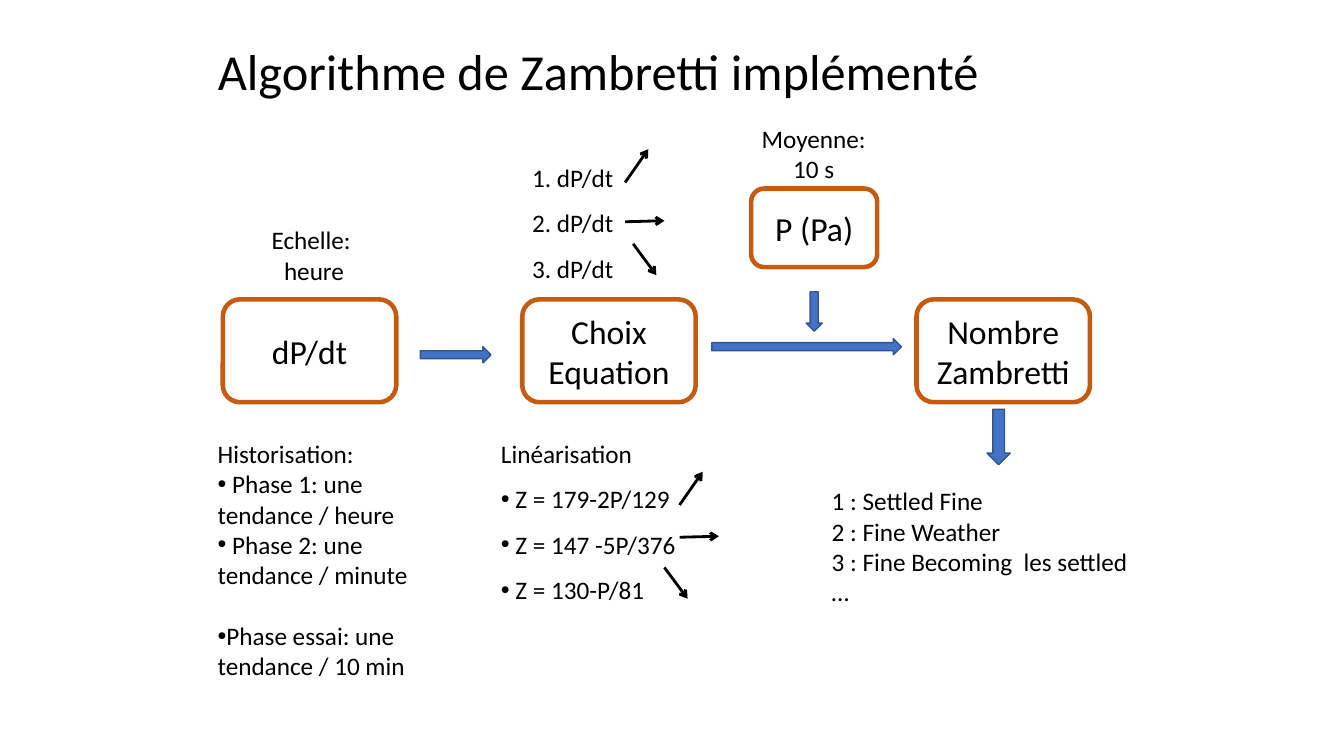
from lxml.etree import SubElement
from pptx import Presentation
from pptx.dml.color import RGBColor
from pptx.enum.shapes import MSO_CONNECTOR as CONN, MSO_SHAPE as SHAPE
from pptx.enum.text import MSO_ANCHOR as ANCHOR, MSO_AUTO_SIZE as FIT, PP_ALIGN as ALIGN
from pptx.oxml.ns import qn
from pptx.util import Emu, Pt

PX = 9144  # 100 px to the inch
FONT = "Calibri"
BLACK, ORANGE, BLUE, NAVY = "000000", "C55A11", "4472C4", "325491"
TREND_VECTORS = [(23, -33), (39, -1), (23, 31)]  # rising, steady, falling


def px(*lengths):
    return [Emu(n * PX) for n in lengths]


def rgb(color):
    return RGBColor.from_string(color)


def write(tf, lines, size, align=ALIGN.LEFT):
    tf.word_wrap = True
    tf.text = "\n".join(lines)
    for p in tf.paragraphs:
        p.alignment = align
        for r in p.runs:
            r.font.name, r.font.size = FONT, Pt(size)
            r.font.color.rgb = rgb(BLACK)


def add_bullet(p):
    pPr = p._p.get_or_add_pPr()
    pPr.set("marL", "0")
    pPr.set("indent", "0")
    SubElement(pPr, qn("a:buFont"), typeface="Arial")
    SubElement(pPr, qn("a:buChar"), char="•")


def title(s, text, box):
    sp = s.shapes.title
    sp.left, sp.top, sp.width, sp.height = px(*box)
    tf = sp.text_frame
    write(tf, [text], 36)
    tf.auto_size = FIT.NONE
    tf.vertical_anchor = ANCHOR.MIDDLE
    tf.paragraphs[0].line_spacing = 0.9


def step(s, lines, box):
    sp = s.shapes.add_shape(SHAPE.ROUNDED_RECTANGLE, *px(*box))
    sp.shadow.inherit = False
    sp.fill.background()
    sp.line.color.rgb, sp.line.width = rgb(ORANGE), Pt(3.25)
    sp.text_frame.vertical_anchor = ANCHOR.MIDDLE
    write(sp.text_frame, lines, 24, ALIGN.CENTER)


def block_arrow(s, kind, box, rotation=0):
    sp = s.shapes.add_shape(kind, *px(*box))
    sp.shadow.inherit = False
    sp.rotation = rotation
    sp.fill.solid()
    sp.fill.fore_color.rgb = rgb(BLUE)
    sp.line.color.rgb, sp.line.width = rgb(NAVY), Pt(1)


def note(s, lines, box, align=ALIGN.LEFT, spacing=1.0, heading=False):
    """Add a text box; with a heading, the lines after the first get bullets."""
    tf = s.shapes.add_textbox(*px(*box)).text_frame
    write(tf, lines, 18, align)
    for p in tf.paragraphs[1 if heading else 0:]:
        p.line_spacing = spacing
        if heading:
            add_bullet(p)
    return tf


def trend_arrows(s, starts):
    """Draw the rising, steady and falling arrows from their start points."""
    for (x, y), (dx, dy) in zip(starts, TREND_VECTORS):
        line = s.shapes.add_connector(CONN.STRAIGHT, *px(x, y, x + dx, y + dy))
        line.line.color.rgb, line.line.width = rgb(BLACK), Pt(2)
        SubElement(line.line._get_or_add_ln(), qn("a:tailEnd"), type="arrow")
        SubElement(line._element.spPr, qn("a:effectLst"))


def flow(s):
    top, w, h = 297, 172, 102
    for x, lines in [(221, ["dP/dt"]), (518, ["Choix", "Equation"]),
                     (909, ["Nombre", "Zambretti"])]:
        step(s, lines, (x, top, w, h))
    step(s, ["P (Pa)"], (745, 187, 125, 78))
    block_arrow(s, SHAPE.RIGHT_ARROW, (417, 344, 70, 16))
    block_arrow(s, SHAPE.RIGHT_ARROW, (706, 336, 188, 16))
    block_arrow(s, SHAPE.RIGHT_ARROW, (788, 301, 39, 16), rotation=90)
    block_arrow(s, SHAPE.DOWN_ARROW, (979, 406, 23, 55))


def notes_above(s):
    note(s, ["Echelle: ", "heure"], (253, 218, 117, 71), ALIGN.CENTER)
    note(s, ["Moyenne:", "10 s"], (729, 117, 156, 71), ALIGN.CENTER)
    note(s, [f"{i}. dP/dt" for i in (1, 2, 3)], (518, 141, 164, 146), spacing=1.5)
    trend_arrows(s, [(620, 181), (620, 220), (628, 242)])


def notes_below(s):
    tf = note(s, ["Historisation:", " Phase 1: une tendance / heure",
                  " Phase 2: une tendance / minute",
                  "Phase essai: une tendance / 10 min"],
              (206, 430, 219, 283), heading=True)
    tf.paragraphs[-1].space_before = Pt(22)
    note(s, ["Linéarisation", " Z = 179-2P/129", " Z = 147 -5P/376", " Z = 130-P/81"],
         (487, 430, 289, 237), spacing=1.5, heading=True)
    trend_arrows(s, [(674, 501), (674, 533), (659, 563)])
    note(s, ["1 : Settled Fine", "2 : Fine Weather", "3 : Fine Becoming  les settled", "…"],
         (815, 477, 328, 162))


def main():
    prs = Presentation()
    prs.slide_width, prs.slide_height = px(1333, 750)
    s = prs.slides.add_slide(prs.slide_layouts[5])
    title(s, "Algorithme de Zambretti implémenté", (206, 39, 900, 69))
    flow(s)
    notes_above(s)
    notes_below(s)
    prs.save("out.pptx")


if __name__ == "__main__":
    main()
